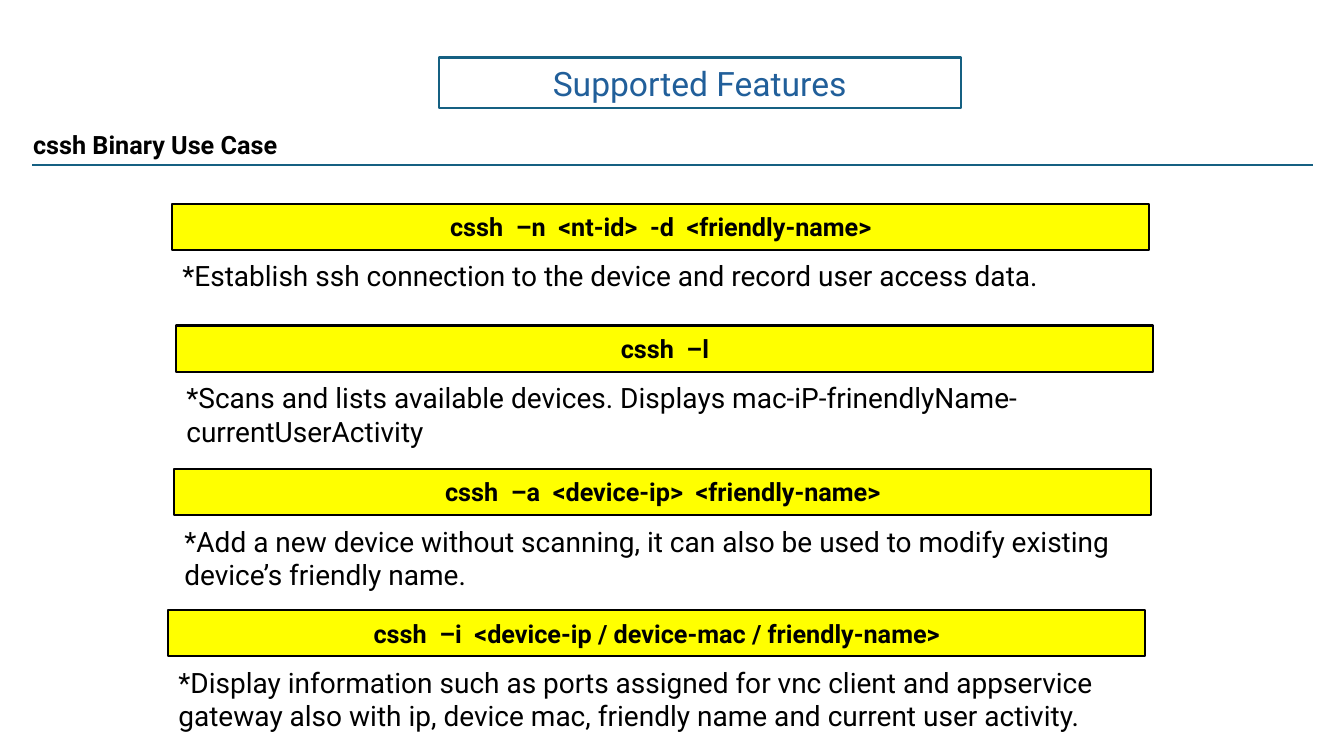
import pptx
import pptx.util
import pptx.dml.color
import pptx.enum.shapes
import pptx.enum.text
import pptx.oxml.ns
from lxml import etree

Inches, Pt = pptx.util.Inches, pptx.util.Pt
RGBColor = pptx.dml.color.RGBColor
PP_ALIGN = pptx.enum.text.PP_ALIGN
MSO_ANCHOR = pptx.enum.text.MSO_ANCHOR
MSO_SHAPE = pptx.enum.shapes.MSO_SHAPE
MSO_CONNECTOR = pptx.enum.shapes.MSO_CONNECTOR

TITLE = "Supported Features"
SECTION = "cssh Binary Use Case"
# left, top, command, description, description height
COMMANDS = [
    (1.71, 2.02, "cssh  –n  <nt-id>  -d  <friendly-name>",
     "*Establish ssh connection to the device and record user access data.", 0.44),
    (1.75, 3.23, "cssh  –l",
     "*Scans and lists available devices. Displays "
     "mac-iP-frinendlyName-currentUserActivity", 0.77),
    (1.73, 4.65, "cssh  –a  <device-ip>  <friendly-name>",
     "*Add a new device without scanning, it can also be used to modify "
     "existing device’s friendly name.", 0.77),
    (1.67, 6.05, "cssh  –i  <device-ip / device-mac / friendly-name>",
     "*Display information such as ports assigned for vnc client and appservice "
     "gateway also with ip, device mac, friendly name and current user activity.", 0.77),
]

FONT = "Roboto"
BLACK = RGBColor(0x00, 0x00, 0x00)
WHITE = RGBColor(0xFF, 0xFF, 0xFF)
YELLOW = RGBColor(0xFF, 0xFF, 0x00)
TEAL = RGBColor(0x15, 0x60, 0x82)
BLUE = RGBColor(0x21, 0x5F, 0x9A)

BAR_W, BAR_H = 9.69, 0.46
DESCRIPTION_OFFSET = 0.5


def write(sp, text, size=18, color=BLACK, bold=False,
          align=PP_ALIGN.LEFT, anchor=MSO_ANCHOR.TOP):
    tf = sp.text_frame
    tf.word_wrap = True
    tf.auto_size = pptx.enum.text.MSO_AUTO_SIZE.NONE
    tf.vertical_anchor = anchor
    p = tf.paragraphs[0]
    p.alignment = align
    p.line_spacing = 1.0
    r = p.add_run()
    r.text = text
    r.font.name = FONT
    r.font.size = Pt(size)
    r.font.bold = bold
    r.font.color.rgb = color


def paint(sp, fill, line):
    sp.fill.solid()
    sp.fill.fore_color.rgb = fill
    sp.line.color.rgb = line
    sp.line.width = Pt(1.5)


def add_text(s, left, top, width, height, text, **style):
    sp = s.shapes.add_textbox(Inches(left), Inches(top), Inches(width), Inches(height))
    write(sp, text, **style)


def add_title(s):
    sp = s.shapes.title
    sp.left, sp.top, sp.width, sp.height = map(Inches, (4.35, 0.57, 5.18, 0.5))
    paint(sp, WHITE, TEAL)
    write(sp, TITLE, size=24, color=BLUE, align=PP_ALIGN.CENTER)


def add_rule(s):
    line = s.shapes.add_connector(MSO_CONNECTOR.STRAIGHT, Inches(0.32), Inches(1.64),
                                  Inches(13.02), Inches(1.64))
    line.line.color.rgb = TEAL
    line.line.width = Pt(1.5)
    etree.SubElement(line._element.spPr, pptx.oxml.ns.qn("a:effectLst"))


def add_command(s, left, top, command, description, height):
    add_text(s, left, top + DESCRIPTION_OFFSET, BAR_W, height, description, size=20)
    bar = s.shapes.add_shape(MSO_SHAPE.RECTANGLE, Inches(left), Inches(top),
                             Inches(BAR_W), Inches(BAR_H))
    bar.shadow.inherit = False
    paint(bar, YELLOW, BLACK)
    write(bar, command, bold=True, align=PP_ALIGN.CENTER, anchor=MSO_ANCHOR.MIDDLE)


def main():
    prs = pptx.Presentation()
    prs.slide_width, prs.slide_height = Inches(13.33), Inches(7.5)
    s = prs.slides.add_slide(prs.slide_layouts[5])
    add_title(s)
    add_text(s, 0.23, 1.23, 3.6, 0.4, SECTION, bold=True)
    add_rule(s)
    for command in COMMANDS:
        add_command(s, *command)
    prs.save("out.pptx")


if __name__ == "__main__":
    main()
